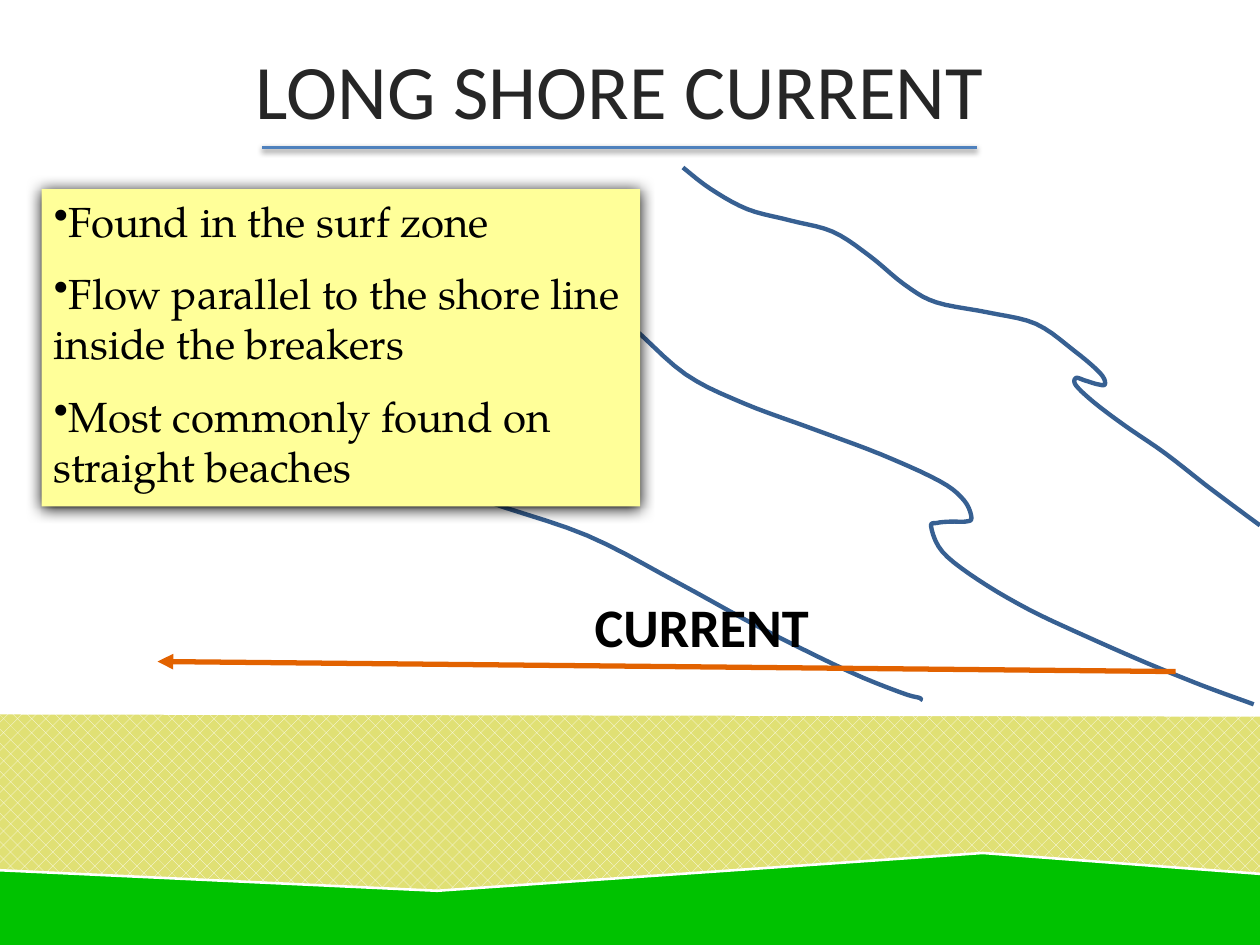
from lxml.etree import SubElement
from pptx import Presentation
from pptx.dml.color import RGBColor
from pptx.enum.dml import MSO_PATTERN as Pattern
from pptx.enum.shapes import MSO_CONNECTOR as Link, MSO_SHAPE as Shape
from pptx.enum.text import MSO_ANCHOR as Anchor, PP_ALIGN as Align
from pptx.oxml.ns import qn
from pptx.util import Inches, Pt

WHITE = RGBColor(0xFF, 0xFF, 0xFF)
BLACK = RGBColor(0, 0, 0)
DARK = RGBColor(0x26, 0x26, 0x26)
RULE = RGBColor(0x4F, 0x81, 0xBD)
WATER = RGBColor(0x37, 0x60, 0x92)
NOTE = RGBColor(0xFF, 0xFF, 0x99)
GRASS = RGBColor(0, 0xC2, 0)
SAND = RGBColor(0xE0, 0xE0, 0x74)
ARROW = RGBColor(0xE2, 0x62, 0)

FACTS = [
    "Found in the surf zone",
    "Flow parallel to the shore line inside the breakers",
    "Most commonly found on straight beaches",
]

# Points that each wave crest passes through
NEAR = [(0.41, 2.29), (0.73, 2.39), (1.42, 2.61), (2.14, 2.89),
        (2.67, 3.27), (3.22, 3.7), (3.84, 3.97), (4.66, 4.25),
        (5.39, 4.63), (6.05, 4.99), (6.74, 5.33), (7.16, 5.5),
        (7.3, 5.54), (7.3, 5.56)]
FAR = [(5.42, 1.33), (5.64, 1.5), (5.93, 1.66), (6.27, 1.75),
       (6.61, 1.84), (6.9, 2.03), (7.18, 2.26), (7.43, 2.4),
       (7.84, 2.48), (8.22, 2.57), (8.52, 2.78), (8.73, 2.96),
       (8.77, 3.05), (8.71, 3.05), (8.61, 3.02), (8.54, 3),
       (8.54, 3.06), (8.69, 3.2), (8.93, 3.38), (9.25, 3.6),
       (9.57, 3.85), (9.81, 4.03), (10, 4.17)]
MIDDLE = [(2.94, 1.91), (3.46, 1.99), (4.11, 2.1), (4.56, 2.24),
          (5.01, 2.59), (5.44, 2.97), (5.9, 3.2), (6.44, 3.4),
          (7, 3.61), (7.46, 3.82), (7.65, 3.97), (7.71, 4.11),
          (7.66, 4.14), (7.55, 4.14), (7.44, 4.15), (7.39, 4.18),
          (7.48, 4.38), (7.76, 4.6), (8.17, 4.84), (8.64, 5.06),
          (9.12, 5.27), (9.54, 5.44), (9.95, 5.59)]

LAND = [(-0.15, 6.88), (3.49, 7.04), (7.83, 6.74), (11.12, 7.02),
        (11.1, 8.73), (-0.15, 8.73)]
BEACH = [(-0.15, 5.66), (11.1, 5.68), (11.12, 7.02), (7.8, 6.77),
         (3.47, 7.07), (-0.15, 6.9)]


def shade(item, blur=0, dist=0, alpha=0):
    """Give a soft shadow below the item, or none when blur is 0."""
    props = item._element.spPr
    for old in props.findall(qn("a:effectLst")):
        props.remove(old)
    effects = SubElement(props, qn("a:effectLst"))
    if blur:
        outer = SubElement(effects, qn("a:outerShdw"), blurRad=str(Pt(blur)),
                           dist=str(Pt(dist)), dir="5400000", rotWithShape="0")
        color = SubElement(outer, qn("a:srgbClr"), val="000000")
        SubElement(color, qn("a:alpha"), val=str(alpha * 1000))


def stroke(item, color, width):
    item.line.color.rgb = color
    item.line.width = Pt(width)


def write(item, lines, size, color, font, bold=False, align=Align.LEFT,
          anchor=Anchor.TOP, inset=None, bullet=None, gap=0):
    frame = item.text_frame
    frame.word_wrap = True
    frame.vertical_anchor = anchor
    if inset is not None:
        frame.margin_left = frame.margin_right = Inches(inset)
        frame.margin_top = frame.margin_bottom = Inches(inset)
    for i, line in enumerate(lines):
        para = frame.paragraphs[0] if i == 0 else frame.add_paragraph()
        para.text = line
        para.alignment = align
        if bullet:
            SubElement(para._p.get_or_add_pPr(), qn("a:buChar"), char=bullet)
        if i:
            para.space_before = Pt(gap)
        para.font.name = font
        para.font.size = Pt(size)
        para.font.bold = bold
        para.font.color.rgb = color


def label(slide, text, left, top, width, height, **style):
    box = slide.shapes.add_textbox(Inches(left), Inches(top),
                                   Inches(width), Inches(height))
    write(box, [text], **style)


def line(slide, start, end, color, width):
    link = slide.shapes.add_connector(Link.STRAIGHT, *map(Inches, start + end))
    stroke(link, color, width)
    shade(link)
    return link


def outline(slide, points, close):
    spots = [(Inches(x), Inches(y)) for x, y in points]
    build = slide.shapes.build_freeform(*spots[0])
    build.add_line_segments(spots[1:], close=close)
    form = build.convert_to_shape()
    shade(form)
    return form


def smooth(points, steps=5):
    """Sample a Catmull-Rom curve through the points."""
    ends = [points[0], *points, points[-1]]
    curve = []
    for a, b, c, d in zip(ends, ends[1:], ends[2:], ends[3:]):
        for t in (n / steps for n in range(steps)):
            curve.append(tuple(
                q + t / 2 * (r - p + t * (2 * p - 5 * q + 4 * r - s
                                          + t * (3 * q - p - 3 * r + s)))
                for p, q, r, s in zip(a, b, c, d)))
    return curve + [points[-1]]


def wave(slide, points):
    form = outline(slide, smooth(points), False)
    form.fill.background()
    stroke(form, WATER, 2.5)


def facts(slide):
    box = slide.shapes.add_shape(Shape.RECTANGLE, Inches(0.33), Inches(1.5),
                                 Inches(4.75), Inches(2.52))
    box.fill.solid()
    box.fill.fore_color.rgb = NOTE
    box.line.fill.background()
    shade(box, blur=8.5, dist=1, alpha=100)
    write(box, FACTS, 24, BLACK, "TeX Gyre Pagella", bullet="•", gap=12.5)


def shore(slide):
    land = outline(slide, LAND, True)
    land.fill.solid()
    land.fill.fore_color.rgb = GRASS
    stroke(land, GRASS, 1.47)
    beach = outline(slide, BEACH, True)
    beach.fill.patterned()
    beach.fill.pattern = Pattern.PERCENT_25
    beach.fill.fore_color.rgb = WHITE
    beach.fill.back_color.rgb = SAND
    stroke(beach, WHITE, 1.47)


def main():
    deck = Presentation()
    deck.slide_width, deck.slide_height = Inches(10), Inches(7.5)
    slide = deck.slides.add_slide(deck.slide_layouts[6])

    label(slide, "LONG SHORE CURRENT", 0.42, 0.08, 9, 1.25, size=44,
          color=DARK, font="Calibri", align=Align.CENTER, anchor=Anchor.MIDDLE)
    rule = line(slide, (2.08, 1.17), (7.75, 1.17), RULE, 2)
    shade(rule, blur=3.1, dist=1.6, alpha=38)
    for crest in (NEAR, FAR, MIDDLE):
        wave(slide, crest)
    facts(slide)
    shore(slide)
    flow = line(slide, (1.25, 5.25), (9.33, 5.33), ARROW, 3)
    SubElement(flow.line._get_or_add_ln(), qn("a:headEnd"), type="triangle")
    label(slide, "CURRENT", 4.72, 4.71, 2.6, 0.54, size=31, color=BLACK,
          font="Calibri", bold=True, inset=0)
    deck.save("out.pptx")


if __name__ == "__main__":
    main()
